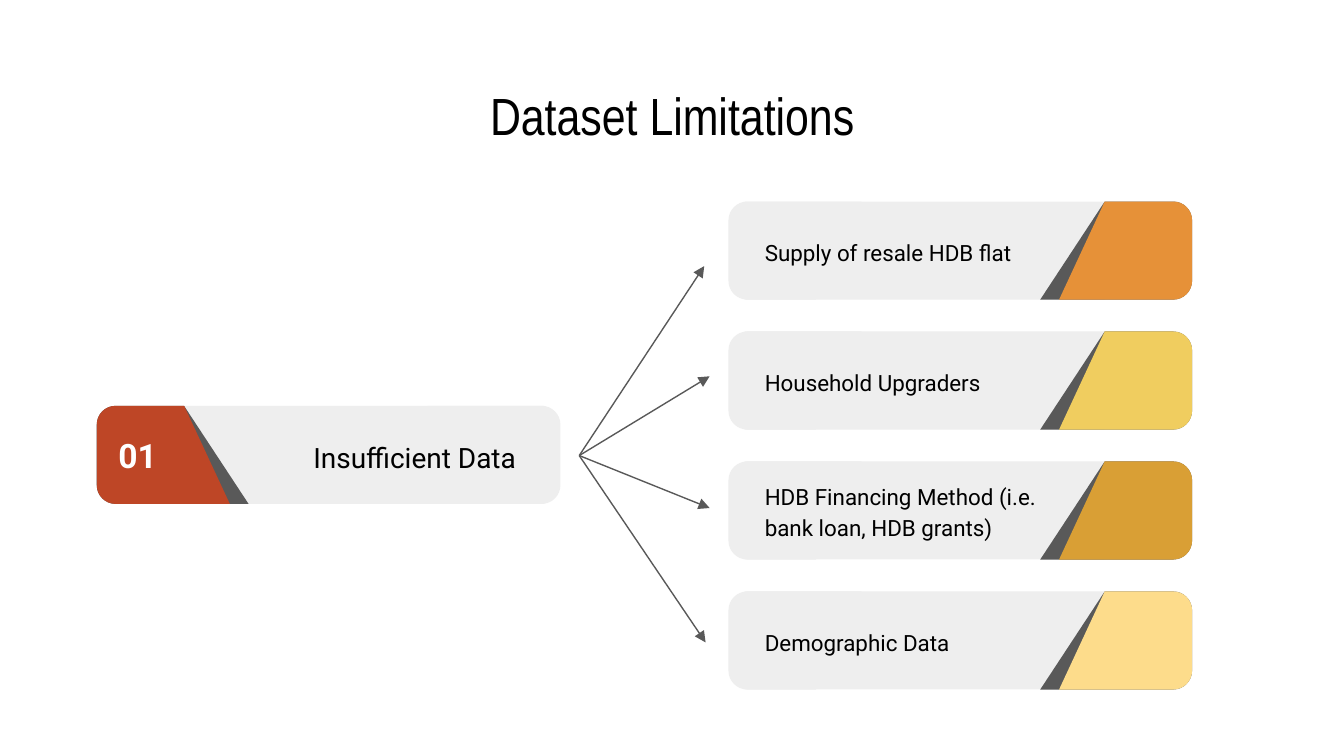
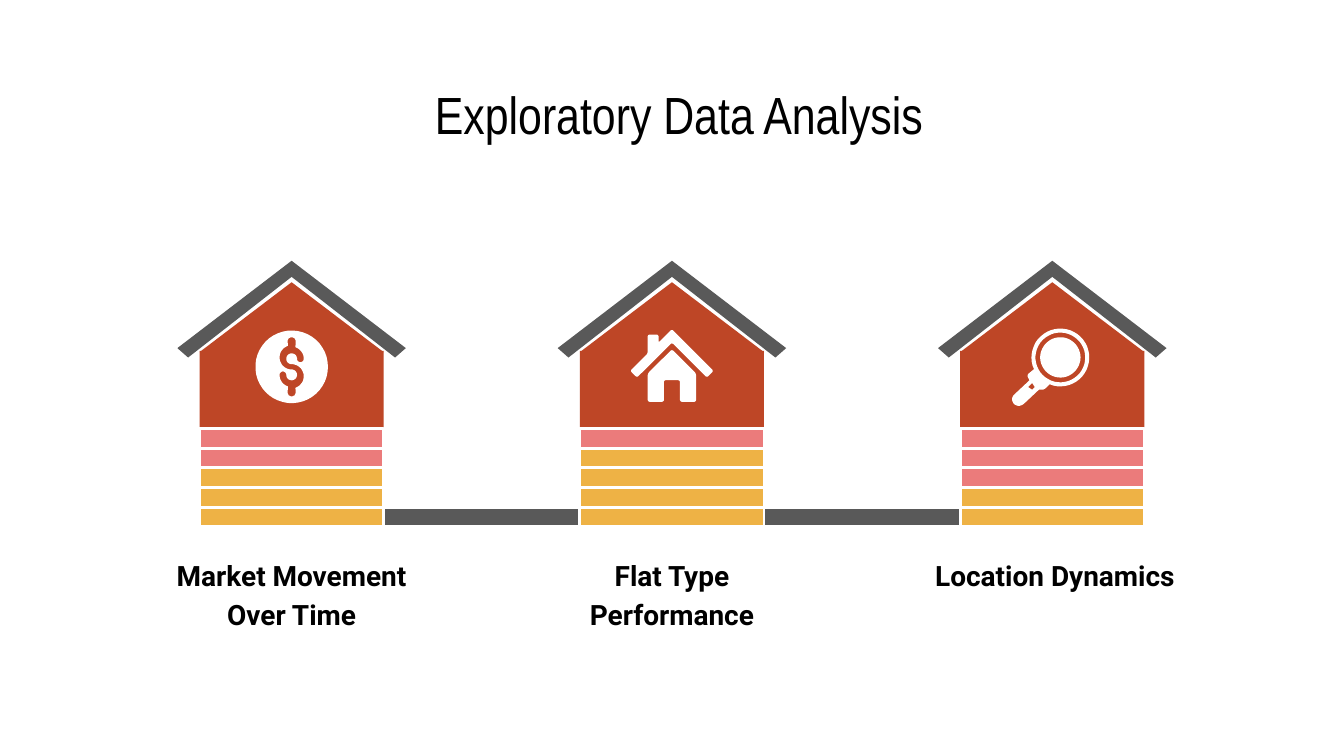
import math

from lxml import etree
from pptx import Presentation
from pptx.dml.color import RGBColor
from pptx.enum.shapes import MSO_CONNECTOR, MSO_SHAPE
from pptx.enum.text import MSO_ANCHOR, PP_ALIGN
from pptx.oxml.ns import qn
from pptx.util import Inches, Pt

LEFT, CENTER, RIGHT = PP_ALIGN.LEFT, PP_ALIGN.CENTER, PP_ALIGN.RIGHT
TOP, MIDDLE = MSO_ANCHOR.TOP, MSO_ANCHOR.MIDDLE
RECTANGLE, TRIANGLE = MSO_SHAPE.RECTANGLE, MSO_SHAPE.ISOSCELES_TRIANGLE
STRAIGHT = MSO_CONNECTOR.STRAIGHT

SLIDE_WIDTH, SLIDE_HEIGHT = 10, 5.625
TITLE_FONT, BODY_FONT = "Arial Narrow", "Roboto"
BLACK, WHITE, DARK, PALE = "000000", "FFFFFF", "595959", "EEEEEE"
BRICK, AMBER, PINK = "BE4626", "EEB245", "EB7B7B"

CARD_WIDTH, CARD_HEIGHT, CORNER = 3.45, 0.73, 0.14
SHORT_EDGE, LONG_EDGE, SHADE_EDGE = 0.65, 0.99, 1.13
CARD_LEFT, CARD_TOP, CARD_PITCH = 5.42, 1.5, 0.967
LIMITATIONS = [
    ("Supply of resale HDB flat", "E69138"),
    ("Household Upgraders", "F0CD5F"),
    ("HDB Financing Method (i.e. bank loan, HDB grants)", "D99F35"),
    ("Demographic Data", "FDDC8B"),
]
ARROW_START = (4.31, 3.39)
ARROW_ENDS = [(5.24, 1.98), (5.28, 2.8), (5.28, 3.78), (5.25, 4.78)]

HOUSE_PITCH, HOUSE_WIDTH = 2.83, 1.37
FLOOR_TOP, FLOOR_HEIGHT, FLOOR_COUNT = 3.19, 0.146, 5
ICON_MIDDLE = 2.73


def color(hex_string):
    return RGBColor.from_string(hex_string)


def paint(shape, fill, outline=None):
    shape.shadow.inherit = False
    shape.fill.solid()
    shape.fill.fore_color.rgb = color(fill)
    if outline:
        shape.line.color.rgb = color(outline)
        shape.line.width = Pt(1.5)
    else:
        shape.line.fill.background()
    return shape


def add_block(shapes, kind, left, top, width, height, fill, outline=None):
    block = shapes.add_shape(kind, Inches(left), Inches(top), Inches(width), Inches(height))
    return paint(block, fill, outline)


def add_outline(shapes, contours, fill):
    """Draw closed contours of (x, y) inches; inner contours become holes."""
    thousandths = [[(x * 1000, y * 1000) for x, y in contour] for contour in contours]
    builder = shapes.build_freeform(*thousandths[0][0], scale=Inches(1) / 1000)
    for number, (start, *others) in enumerate(thousandths):
        if number:
            builder.move_to(*start)
        builder.add_line_segments(others, close=True)
    return paint(builder.convert_to_shape(), fill)


def rounded(vertices, steps=8):
    """Turn (x, y, radius) vertices into points with curved corners."""
    points = []
    for index, (x, y, radius) in enumerate(vertices):
        if not radius:
            points.append((x, y))
            continue
        ends = []
        for other_x, other_y, _ in (vertices[index - 1], vertices[(index + 1) % len(vertices)]):
            share = radius / math.dist((x, y), (other_x, other_y))
            ends.append(((other_x - x) * share, (other_y - y) * share))
        (ax, ay), (bx, by) = ends
        for step in range(steps + 1):
            t = step / steps
            near = (1 - t) ** 3 + 1.35 * t * (1 - t) ** 2
            far = t ** 3 + 1.35 * (1 - t) * t ** 2
            points.append((x + near * ax + far * bx, y + near * ay + far * by))
    return points


def arc(x, y, radius, start, end):
    """Points on a circle between two angles in degrees, clockwise from the right."""
    steps = max(6, round(abs(end - start) / 8))
    angles = [math.radians(start + (end - start) * step / steps) for step in range(steps + 1)]
    return [(x + radius * math.cos(a), y + radius * math.sin(a)) for a in angles]


def write(shape, text, size, font=BODY_FONT, align=LEFT, anchor=MIDDLE, ink=BLACK,
          bold=False, insets=(0.1, 0.1), spacing=None, after=None):
    frame = shape.text_frame
    frame.word_wrap = True
    frame.vertical_anchor = anchor
    frame.margin_left, frame.margin_right = map(Inches, insets)
    frame.margin_top = frame.margin_bottom = Inches(0.1)
    paragraph = frame.paragraphs[0]
    paragraph.text = text
    paragraph.alignment = align
    paragraph.line_spacing = spacing
    if after:
        paragraph.space_after = Pt(after)
    paragraph.font.name = font
    paragraph.font.size = Pt(size)
    paragraph.font.bold = bold
    paragraph.font.color.rgb = color(ink)


def add_text(slide, left, top, width, height, text, size, **style):
    box = slide.shapes.add_textbox(Inches(left), Inches(top), Inches(width), Inches(height))
    write(box, text, size, **style)


def add_title(slide, middle, top, width, text):
    add_text(slide, middle - width / 2, top, width, 0.53, text, 28, font=TITLE_FONT, align=CENTER)


def add_card_end(shapes, edge, direction, top, upper, lower, fill):
    """Rounded card end with a slanted inner side; direction 1 runs right, -1 left."""
    bottom = top + CARD_HEIGHT
    contour = rounded([
        (edge, top, CORNER),
        (edge + direction * upper, top, 0),
        (edge + direction * lower, bottom, 0),
        (edge, bottom, CORNER),
    ])
    return add_outline(shapes, [contour], fill)


def add_card(slide, left, top, text, size, fill, badge_on_left=False):
    """Pale card with a coloured badge at one end; return the badge."""
    right = left + CARD_WIDTH
    badge_edge, plain_edge, direction = (left, right, 1) if badge_on_left else (right, left, -1)
    add_card_end(slide.shapes, plain_edge, -direction, top, LONG_EDGE, SHORT_EDGE, PALE)
    middle_left = left + (SHORT_EDGE if badge_on_left else 0.12)
    middle = add_block(slide.shapes, RECTANGLE, middle_left, top, 2.68, CARD_HEIGHT, PALE)
    write(middle, text, size, align=RIGHT if badge_on_left else LEFT, spacing=1.15,
          insets=(0.55, 0.21) if badge_on_left else (0.15, 0.44))
    group = slide.shapes.add_group_shape()
    add_card_end(group.shapes, badge_edge, direction, top, SHORT_EDGE, SHADE_EDGE, DARK)
    return add_card_end(group.shapes, badge_edge, direction, top, SHORT_EDGE, LONG_EDGE, fill)


def add_arrow(slide, start, end):
    arrow = slide.shapes.add_connector(STRAIGHT, *map(Inches, start + end))
    arrow.line.color.rgb = color(DARK)
    arrow.line.width = Pt(0.75)
    etree.SubElement(arrow.line._get_or_add_ln(), qn("a:tailEnd"), type="triangle")
    etree.SubElement(arrow._element.spPr, qn("a:effectLst"))


def add_icon(shapes, middle, contours, fill=WHITE):
    """Draw contours given in hundredths of an inch around the icon's centre."""
    placed = [[(middle + x / 100, ICON_MIDDLE + y / 100) for x, y in contour]
              for contour in contours]
    add_outline(shapes, placed, fill)


def add_coin(shapes, middle):
    half = (arc(0, -19, 3, -90, 0) + arc(0, -6, 9, -72, 0) + arc(6.5, -6, 2.5, 0, 180)
            + arc(0, -6, 4, 0, -270) + arc(0, 7, 9, -90, 72) + arc(0, 19, 3, 0, 90))
    dollar = half + [(-x, -y) for x, y in half]
    add_icon(shapes, middle, [arc(0, 0, 27, 0, 360), dollar])


def add_home(shapes, middle):
    walls = [(18, 26), (18, 5), (0, -13), (-18, 5), (-18, 26),
             (-6, 26), (-6, 10), (6, 10), (6, 26)]
    roof = [(0, -28), (31, 3), (26, 8), (0, -18), (-26, 8), (-31, 3),
            (-18, -10), (-18, -24), (-10, -24), (-10, -18)]
    add_icon(shapes, middle, [rounded([(x, y, 1.5) for x, y in part]) for part in (walls, roof)])


def add_magnifier(shapes, middle):
    handle = rounded([(-14, 2, 0), (-19, 6, 2), (-17, 10, 0), (-32, 24, 5),
                      (-25, 31, 5), (-10, 17, 0), (-6, 17, 2), (-2, 13, 0)])
    rim = arc(6, -7, 21.5, 112, -204)
    notch = [(-15, 12), (-13, 15), (-15, 17), (-18, 15)]
    add_icon(shapes, middle, [handle + rim, arc(6, -7, 18.5, 0, 360), notch])
    add_icon(shapes, middle, [arc(6, -7, 15, 0, 360)])


def add_house(slide, middle, pink_floors, add_symbol):
    shapes = slide.shapes.add_group_shape().shapes
    left = middle - HOUSE_WIDTH / 2
    roof = [(0, 1.94), (-0.85, 2.59), (-0.77, 2.66), (0, 2.06), (0.77, 2.66), (0.85, 2.59)]
    add_outline(shapes, [[(middle + x, y) for x, y in roof]], DARK)
    add_block(shapes, TRIANGLE, left, 2.1, HOUSE_WIDTH, 0.52, BRICK)
    add_block(shapes, RECTANGLE, left, 2.61, HOUSE_WIDTH, 0.58, BRICK)
    add_symbol(shapes, middle)
    for floor in reversed(range(FLOOR_COUNT)):
        add_block(shapes, RECTANGLE, left, FLOOR_TOP + floor * FLOOR_HEIGHT, HOUSE_WIDTH,
                  FLOOR_HEIGHT, PINK if floor < pink_floors else AMBER, WHITE)


def build_limitations(slide):
    add_title(slide, SLIDE_WIDTH / 2, 0.59, 3.75, "Dataset Limitations")
    badge = add_card(slide, 0.72, 3.02, "Insufficient Data", 15, BRICK, badge_on_left=True)
    write(badge, "01", 18, ink=WHITE, bold=True, insets=(0.16, 0.1))
    for row, (text, fill) in enumerate(LIMITATIONS):
        add_card(slide, CARD_LEFT, CARD_TOP + row * CARD_PITCH, text, 12, fill)
    for end in ARROW_ENDS:
        add_arrow(slide, ARROW_START, end)


def build_analysis(slide):
    add_title(slide, 5.05, 0.58, 4.42, "Exploratory Data Analysis")
    add_block(slide.shapes, RECTANGLE, 2.47, FLOOR_TOP + 4 * FLOOR_HEIGHT, 4.89,
              FLOOR_HEIGHT, DARK, WHITE)
    houses = [
        ("Market Movement Over Time", 2, add_coin, 0),
        ("Flat Type Performance", 1, add_home, 0),
        ("Location Dynamics", 3, add_magnifier, 0.02),
    ]
    for column, (label, pink_floors, add_symbol, shift) in enumerate(houses):
        middle = SLIDE_WIDTH / 2 + (column - 1) * HOUSE_PITCH
        add_house(slide, middle, pink_floors, add_symbol)
        add_text(slide, middle + shift - 1, 4.02, 2, 0.52, label, 15, align=CENTER,
                 anchor=TOP, bold=True, spacing=1.15, after=16)


def main():
    presentation = Presentation()
    presentation.slide_width = Inches(SLIDE_WIDTH)
    presentation.slide_height = Inches(SLIDE_HEIGHT)
    blank = presentation.slide_layouts[6]
    for build in (build_limitations, build_analysis):
        build(presentation.slides.add_slide(blank))
    presentation.save("out.pptx")


if __name__ == "__main__":
    main()
